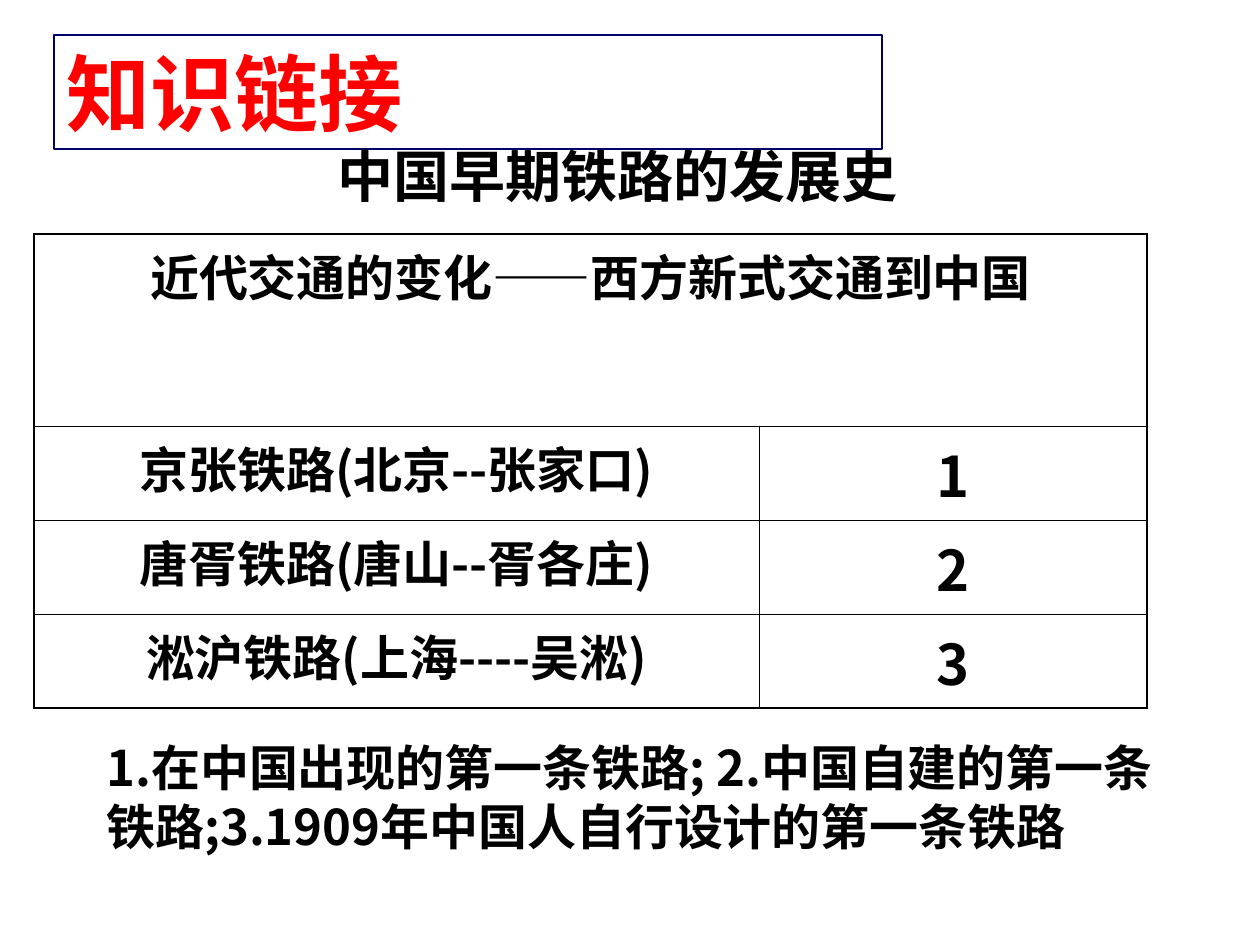
from lxml import etree
from pptx import Presentation, util as u
from pptx.dml.color import RGBColor
from pptx.enum import text as t
from pptx.oxml.ns import qn

MID, LEFT = t.PP_ALIGN.CENTER, t.PP_ALIGN.LEFT
NOTO = "Noto Sans CJK SC"
SCALE = 914400 / 126
rgb = RGBColor.from_string


def px(*nums):
    return [u.Emu(round(n * SCALE)) for n in nums]


def put(frame, words, size, face=NOTO, tint="000000", align=LEFT, gap=0):
    frame.word_wrap = True
    frame.vertical_anchor = t.MSO_ANCHOR.TOP
    para = frame.paragraphs[0]
    para.alignment = align
    para.space_before = u.Pt(gap)
    run = para.add_run()
    run.text = words
    look = {"size": u.Pt(size), "bold": True, "name": face}
    for key, val in look.items():
        setattr(run.font, key, val)
    run.font.color.rgb = rgb(tint)
    east = etree.SubElement(run.font._element, qn("a:ea"))
    east.set("typeface", NOTO)


deck = Presentation()
deck.slide_width, deck.slide_height = px(1260, 945)
slide = deck.slides.add_slide(deck.slide_layouts[5])

head = slide.shapes.title
head.left, head.top, head.width, head.height = px(54, 35, 828, 114)
head.line.color.rgb = rgb("000066")
head.line.width = u.Pt(0.75)
put(head.text_frame, "知识链接", 48, "Cabin", "FF0000")
head.text_frame.auto_size = t.MSO_AUTO_SIZE.NONE

rows = [
    ("近代交通的变化——西方新式交通到中国", ""),
    ("京张铁路(北京--张家口)", "1"),
    ("唐胥铁路(唐山--胥各庄)", "2"),
    ("淞沪铁路(上海----吴淞)", "3"),
]
grid = slide.shapes.add_table(4, 2, *px(34, 234, 1113, 474)).table
for col, wide in zip(grid.columns, px(725, 388)):
    col.width = wide
for row, tall in zip(grid.rows, px(192, 94, 94, 94)):
    row.height = tall
grid.cell(0, 0).merge(grid.cell(0, 1))

for r, pair in enumerate(rows):
    for c, words in enumerate(pair):
        cell = grid.cell(r, c)
        if words:
            size, gap = ((28, 7), (32, 8))[c]
            put(cell.text_frame, words, size, align=MID, gap=gap)
        prop = cell._tc.get_or_add_tcPr()
        edges = {"lnL": c == 0, "lnR": c == 1 or r == 0, "lnT": r == 0, "lnB": r == 3}
        for tag, outer in edges.items():
            line = etree.SubElement(prop, qn("a:" + tag))
            line.set("w", str(u.Pt(1.08 if outer else 0.45)))
            fill = etree.SubElement(line, qn("a:solidFill"))
            etree.SubElement(fill, qn("a:srgbClr")).set("val", "000000")
        cell.fill.background()

notes = [
    ((0, 135, 1235, 81), "中国早期铁路的发展史", 32, "Cabin", MID),
    ((94, 731, 1091, 131),
     "1.在中国出现的第一条铁路; 2.中国自建的第一条铁路;3.1909年中国人自行设计的第一条铁路",
     28, NOTO, LEFT),
]
for area, words, size, face, align in notes:
    box = slide.shapes.add_textbox(*px(*area))
    put(box.text_frame, words, size, face, align=align)

deck.save("out.pptx")
